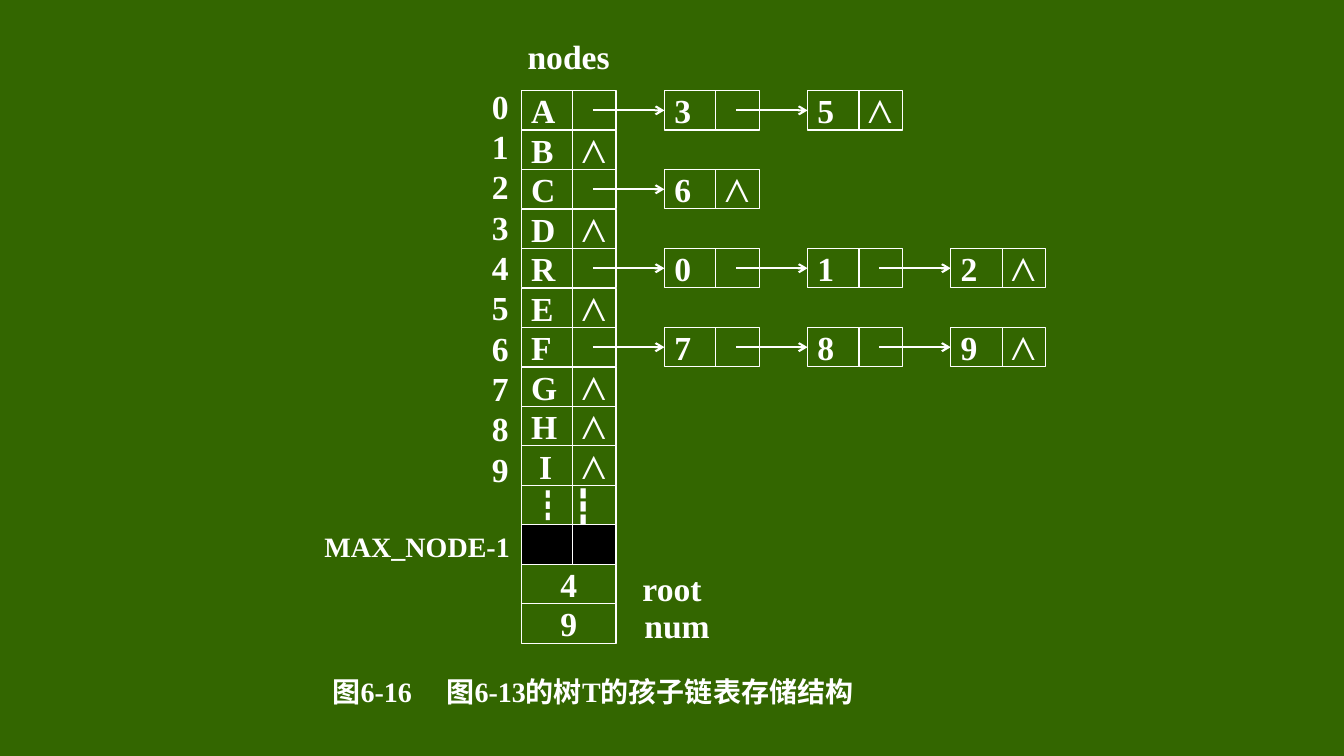
"""Draw the child linked-list storage structure of tree T."""
from lxml import etree
from pptx import Presentation
from pptx import util as u
from pptx.dml.color import RGBColor
from pptx.enum import shapes, text
from pptx.oxml.ns import qn

SERIF, CJK = "Times New Roman", "Noto Sans CJK SC"
WHITE, BLACK, GREEN = "FFFFFF", "000000", "336600"
NIL = "⋀"

NODES = [
    ("A", ["3", "5"]),
    ("B", []),
    ("C", ["6"]),
    ("D", []),
    ("R", ["0", "1", "2"]),
    ("E", []),
    ("F", ["7", "8", "9"]),
    ("G", []),
    ("H", []),
    ("I", []),
]
COUNTERS = ["4", "9"]
LABELS = [
    ("nodes", 5.17, 0.36, 0.94, 24, True),
    ("MAX_NODE-1", 3.12, 5.22, 2.03, 20, False),
    ("root", 6.27, 5.64, 0.79, 24, True),
    ("num", 6.32, 6.01, 0.79, 24, True),
]
CAPTION = "图6-16\t图6-13的树T的孩子链表存储结构"

LEFT, TOP, BOTTOM = 5.17, 0.9, 5.99
CELL_W, CELL_H = 0.94, 0.39
DIVIDER, POINTER, PITCH = 0.51, 0.71, 1.42
ROWS = len(NODES) + 2 + len(COUNTERS)
STEP = (BOTTOM - TOP) / (ROWS - 1)

prs = Presentation()
prs.slide_width, prs.slide_height = u.Inches(13.33), u.Inches(7.5)
s = prs.slides.add_slide(prs.slide_layouts[6])


def paint(fmt, color):
    """Give a fill a solid colour."""
    fmt.solid()
    fmt.fore_color.rgb = RGBColor.from_string(color)


def write(sp, *paras, size=24, center=False, tab=None, indent=0, spacing=None):
    """Write paragraphs, each a list of (text, bold, font) runs, in a shape."""
    tf = sp.text_frame
    tf.word_wrap = False
    tf.vertical_anchor = text.MSO_ANCHOR.MIDDLE
    tf.margin_left = u.Inches(0 if center else 0.1)
    tf.margin_right = 0
    for i, runs in enumerate(paras):
        p = tf.add_paragraph() if i else tf.paragraphs[0]
        p.alignment = text.PP_ALIGN.CENTER if center else text.PP_ALIGN.LEFT
        if spacing:
            p.line_spacing = u.Pt(spacing)
        pPr = p._p.get_or_add_pPr()
        if indent:
            pPr.set("indent", str(u.Inches(indent)))
        if tab:
            tabs = etree.SubElement(pPr, qn("a:tabLst"))
            etree.SubElement(tabs, qn("a:tab"), pos=str(u.Inches(tab)), algn="l")
        for words, bold, font in runs:
            r = p.add_run()
            r.text = words
            r.font.size, r.font.bold, r.font.name = u.Pt(size), bold, font
            r.font.color.rgb = RGBColor.from_string(WHITE)
            if font == CJK:
                etree.SubElement(r._r.get_or_add_rPr(), qn("a:ea"), typeface=font)


def label(words, x, y, w, h=CELL_H, **fmt):
    """Add a text box with one bold paragraph per string."""
    sp = s.shapes.add_textbox(*map(u.Inches, (x, y, w, h)))
    write(sp, *[[(t, True, SERIF)] for t in words], **fmt)


def line(x1, y1, x2, y2, width=0.75, arrow=False):
    """Add a white straight line, with an arrowhead if asked."""
    c = s.shapes.add_connector(shapes.MSO_CONNECTOR.STRAIGHT,
                               *map(u.Inches, (x1, y1, x2, y2)))
    paint(c.line.fill, WHITE)
    c.line.width = u.Pt(width)
    if arrow:
        etree.SubElement(c.line._get_or_add_ln(), qn("a:tailEnd"), type="arrow")
    etree.SubElement(c._element.spPr, qn("a:effectLst"))
    return c


def cell(x, y, runs=(), fill=None, split=True, **fmt):
    """Add a box, split into a data field and a pointer field."""
    sp = s.shapes.add_shape(shapes.MSO_SHAPE.RECTANGLE,
                            *map(u.Inches, (x, y, CELL_W, CELL_H)))
    sp.shadow.inherit = False
    if fill:
        paint(sp.fill, fill)
    else:
        sp.fill.background()
    paint(sp.line.fill, WHITE)
    sp.line.width = u.Pt(0.75)
    if runs:
        write(sp, runs, **fmt)
    if split:
        line(x + DIVIDER, y, x + DIVIDER, y + CELL_H)
    return sp


def row_top(row):
    """Return the top of a row of the node array."""
    return TOP + row * STEP


def chain(row, name, children):
    """Draw one array row and the linked list of its children."""
    y, items = row_top(row), [name, *children]
    for k, item in enumerate(items):
        x = LEFT + k * PITCH
        runs = [(item, True, SERIF)]
        if k == len(items) - 1:
            runs += [("\t", True, SERIF), (NIL, False, SERIF)]
        narrow = item == "I"
        sp = cell(x, y, runs, tab=0.55 if narrow else 0.5,
                  indent=0.08 if narrow else 0)
        if k:
            mid = y + CELL_H / 2
            arrow = line(x - PITCH + POINTER, mid, x, mid, 1.5, True)
            arrow.end_connect(sp, 1)


def main():
    """Build and save the slide."""
    paint(s.background.fill, GREEN)
    for row, (name, children) in enumerate(NODES):
        chain(row, name, children)
    n = len(NODES)
    cell(LEFT, row_top(n), [("┇", True, CJK), (" ┇", True, SERIF)])
    cell(LEFT, row_top(n + 1), fill=BLACK)
    for i, value in enumerate(COUNTERS):
        cell(LEFT, row_top(n + 2 + i), [(value, True, SERIF)],
             split=False, center=True)
    label([str(i) for i in range(n)], 4.78, 1.04, 0.39, 3.62, spacing=28.8)
    for words, x, y, w, size, center in LABELS:
        label([words], x, y, w, size=size, center=center)
    label([CAPTION], 3.2, 6.66, 5.7, size=20, tab=1.13)
    prs.save("out.pptx")


if __name__ == "__main__":
    main()
